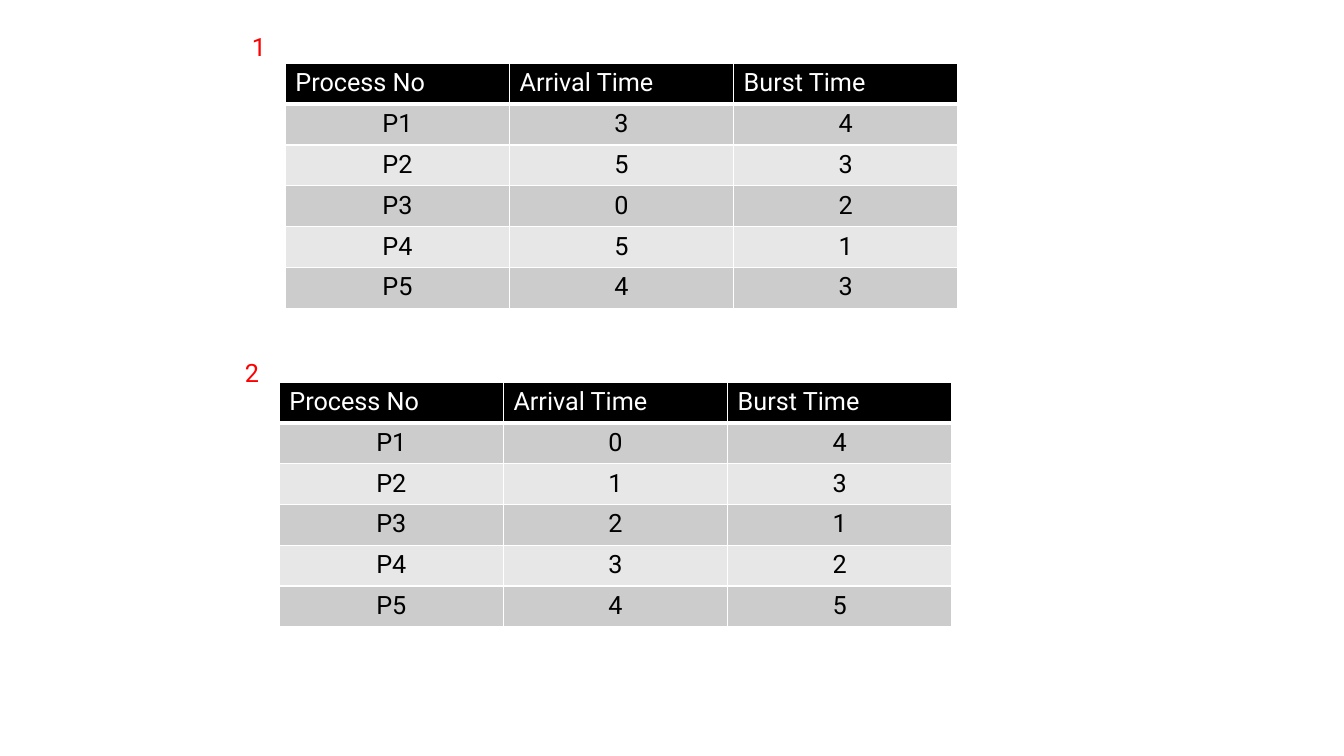
from lxml.etree import SubElement
from pptx import Presentation
from pptx.dml.color import RGBColor
from pptx.enum.text import MSO_AUTO_SIZE, PP_ALIGN
from pptx.oxml.ns import qn
from pptx.util import Inches, Pt

# Content
HEADERS = ("Process No", "Arrival Time", "Burst Time")
EXERCISES = [
    {
        "table_at": (2.77, 3.79),
        "label": "2",
        "label_box": (2.33, 3.5, 0.75, 0.42),
        "times": [(0, 4), (1, 3), (2, 1), (3, 2), (4, 5)],
    },
    {
        "table_at": (2.83, 0.63),
        "label": "1",
        "label_box": (2.4, 0.26, 0.6, 0.4),
        "times": [(3, 4), (5, 3), (0, 2), (5, 1), (4, 3)],
    },
]

# Style
FONT = "Roboto"
BLACK, WHITE, RED = "000000", "FFFFFF", "FF0000"
BANDS = ("CCCCCC", "E7E7E7")
TABLE_WIDTH, ROW_HEIGHT = 6.67, 0.405


def color(value):
    return RGBColor.from_string(value)


def style_paragraph(paragraph, text_color):
    paragraph.font.name = FONT
    paragraph.font.size = Pt(18)
    paragraph.font.color.rgb = color(text_color)


def add_borders(cell, bottom_width):
    properties = cell._tc.get_or_add_tcPr()
    for side, width in (("L", 1), ("R", 1), ("T", 1), ("B", bottom_width)):
        line = SubElement(properties, qn(f"a:ln{side}"), w=str(Pt(width)))
        fill = SubElement(line, qn("a:solidFill"))
        SubElement(fill, qn("a:srgbClr"), val=WHITE)


def add_process_table(slide, left, top, times):
    rows = [HEADERS]
    rows += [(f"P{number}", *pair) for number, pair in enumerate(times, 1)]
    table = slide.shapes.add_table(
        len(rows), len(HEADERS), Inches(left), Inches(top),
        Inches(TABLE_WIDTH), Inches(ROW_HEIGHT * len(rows)),
    ).table
    for row_index, row in enumerate(rows):
        is_header = row_index == 0
        for column_index, value in enumerate(row):
            cell = table.cell(row_index, column_index)
            cell.text = str(value)
            add_borders(cell, 3 if is_header else 1)
            cell.fill.solid()
            cell.fill.fore_color.rgb = color(
                BLACK if is_header else BANDS[(row_index - 1) % 2])
            paragraph = cell.text_frame.paragraphs[0]
            paragraph.alignment = PP_ALIGN.LEFT if is_header else PP_ALIGN.CENTER
            style_paragraph(paragraph, WHITE if is_header else BLACK)


def add_label(slide, text, box):
    frame = slide.shapes.add_textbox(*map(Inches, box)).text_frame
    frame.word_wrap = True
    frame.auto_size = MSO_AUTO_SIZE.SHAPE_TO_FIT_TEXT
    frame.text = text
    style_paragraph(frame.paragraphs[0], RED)


# Slide
presentation = Presentation()
presentation.slide_width = Inches(13.33)
presentation.slide_height = Inches(7.5)
slide = presentation.slides.add_slide(presentation.slide_layouts[6])

# Tables first, labels in front
for exercise in EXERCISES:
    add_process_table(slide, *exercise["table_at"], exercise["times"])
for exercise in EXERCISES:
    add_label(slide, exercise["label"], exercise["label_box"])

presentation.save("out.pptx")
